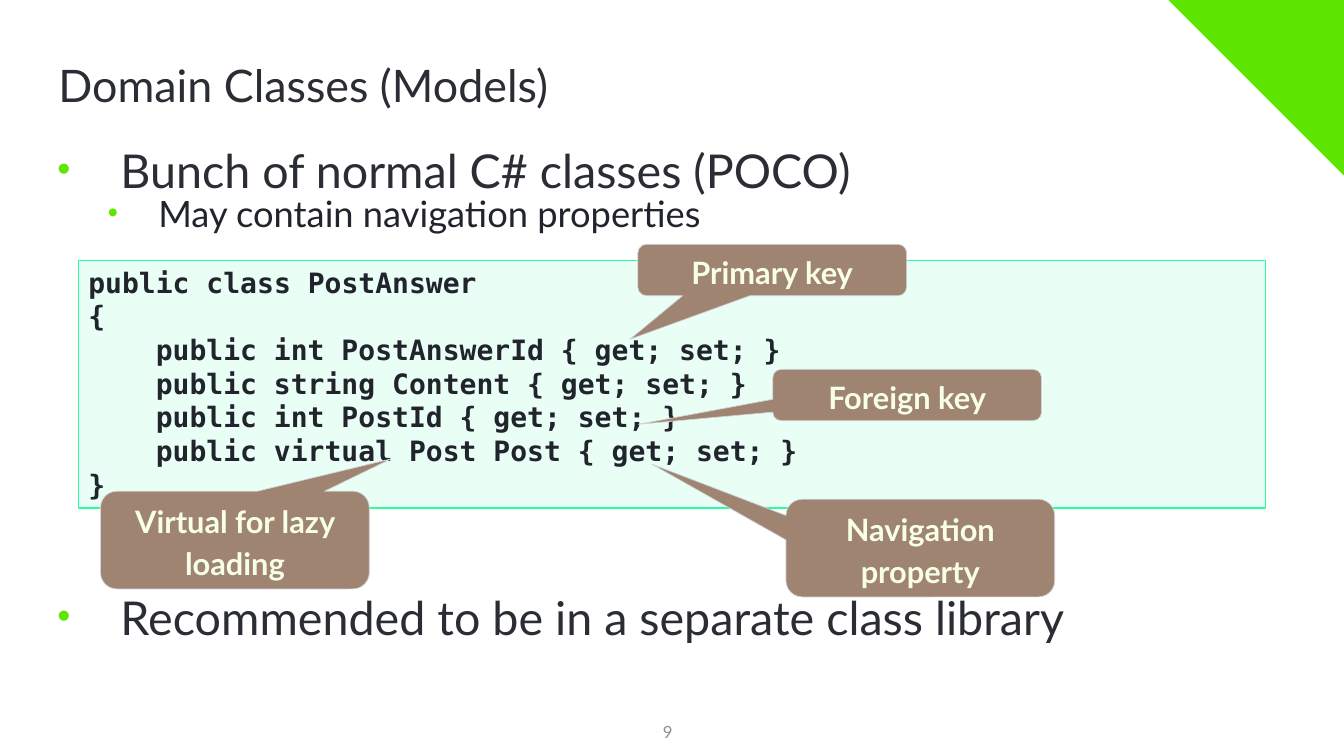
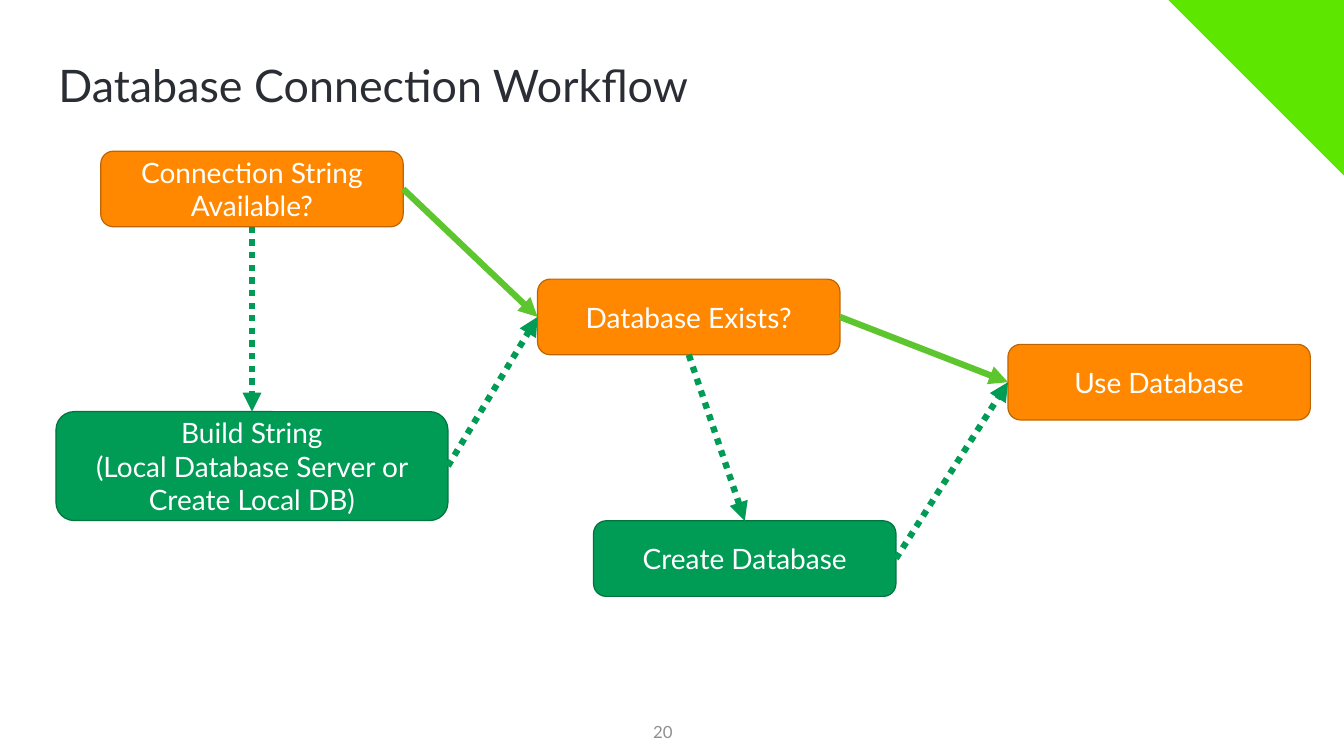
from lxml import etree
from pptx import Presentation
from pptx.dml.color import RGBColor
from pptx.enum.dml import MSO_LINE
from pptx.enum.shapes import MSO_CONNECTOR, MSO_SHAPE
from pptx.enum.text import MSO_ANCHOR, PP_ALIGN
from pptx.oxml.ns import qn
from pptx.util import Pt

RECT = MSO_SHAPE.RECTANGLE
ROUND = MSO_SHAPE.ROUNDED_RECTANGLE
CALLOUT = MSO_SHAPE.ROUNDED_RECTANGULAR_CALLOUT
STRAIGHT = MSO_CONNECTOR.STRAIGHT
DOTS = MSO_LINE.ROUND_DOT
TOP, MIDDLE = MSO_ANCHOR.TOP, MSO_ANCHOR.MIDDLE
LEFT, CENTER, RIGHT = PP_ALIGN.LEFT, PP_ALIGN.CENTER, PP_ALIGN.RIGHT

WIDE, HIGH = 960, 540
SANS, MONO = "Lato", "DejaVu Sans Mono"
LIME, INK, DARK, GREY = "5CE600", "2A2D33", "21242C", "8E8F90"
WHITE, CREAM, BROWN, SILVER = "FFFFFF", "F7FFE7", "9F8471", "D1D4D9"
MINT, EDGE = "71FFBF", "2AFF9F"
ORANGE, GREEN, LEAF = ("FF8800", "BD6500"), ("009B55", "00733F"), "5DC62E"
# Connection sites of a rounded rectangle
NORTH, WEST, SOUTH, EAST = range(4)


def rgb(code):
    return RGBColor.from_string(code)


def child(parent, tag, **attrs):
    return etree.SubElement(parent, qn(tag), attrs)


def write(shape, text, size, color, font=SANS, bold=False, align=LEFT,
          anchor=TOP, space=None):
    frame = shape.text_frame
    frame.text = text
    frame.word_wrap = True
    frame.vertical_anchor = anchor
    for para in frame.paragraphs:
        para.alignment = align
        if space:
            para.line_spacing = space
        for run in para.runs:
            run.font.size = Pt(size)
            run.font.name = font
            run.font.bold = bold
            run.font.color.rgb = rgb(color)
    return frame


def label(slide, box, *args, **style):
    shape = slide.shapes.add_textbox(*map(Pt, box))
    return write(shape, *args, **style)


def panel(slide, kind, box, fill, line, width):
    shape = slide.shapes.add_shape(kind, *map(Pt, box))
    shape.shadow.inherit = False
    shape.fill.solid()
    shape.fill.fore_color.rgb = rgb(fill)
    shape.line.color.rgb = rgb(line)
    shape.line.width = Pt(width)
    return shape


def base(deck, title, number):
    slide = deck.slides.add_slide(deck.slide_layouts[6])
    # Corner
    side = 125.5
    draw = slide.shapes.build_freeform(Pt(WIDE - side), 0)
    draw.add_line_segments([(Pt(WIDE), 0), (Pt(WIDE), Pt(side))])
    corner = draw.convert_to_shape()
    corner.shadow.inherit = False
    corner.fill.solid()
    corner.fill.fore_color.rgb = rgb(LIME)
    corner.line.fill.background()
    # Page number and title
    label(slide, (440, 513.4, 47.5, 18), number, 12, GREY,
          align=RIGHT, anchor=MIDDLE)
    label(slide, (34.6, 41, 892.8, 43.2), title, 32, INK,
          anchor=MIDDLE, space=0.9)
    return slide


def bullets(slide, box, items):
    frame = label(slide, box, "\n".join(text for text, _ in items), 33.3, INK,
                  space=0.7)
    for para, (_, level) in zip(frame.paragraphs, items):
        indent, hang, before = ((45, 45, 10), (72, 36, 5))[level]
        para.level = level
        para.space_before = Pt(before)
        if level:
            para.runs[0].font.size = Pt(25.9)
            para.runs[0].font.color.rgb = rgb(DARK)
        props = para._p.get_or_add_pPr()
        props.set("marL", str(Pt(indent)))
        props.set("indent", str(-Pt(hang)))
        child(child(props, "a:buClr"), "a:srgbClr", val=LIME)
        child(props, "a:buSzPct", val="80000")
        child(props, "a:buFont", typeface="Arial")
        child(props, "a:buChar", char="•")


def callout(slide, box, text, tip):
    shape = panel(slide, CALLOUT, box, BROWN, SILVER, 0.5)
    for spot, value in enumerate(tip):
        shape.adjustments[spot] = value
    frame = write(shape, text, 22, CREAM, bold=True, align=CENTER,
                  space=Pt(30))
    frame.margin_top = frame.margin_bottom = Pt(1.44)


def code(slide, box):
    left, top, _, _ = box
    fields = ["int PostAnswerId", "string Content", "int PostId",
              "virtual Post Post"]
    body = [f"public {field} {{ get; set; }}" for field in fields]
    lines = ["public class PostAnswer", "{", *body, "}"]

    # Code listing
    shape = panel(slide, RECT, box, MINT, EDGE, 1)
    tint = shape.fill._xPr.find(qn("a:solidFill"))[0]
    child(tint, "a:alpha", val="15000")
    frame = write(shape, "\n".join(lines), 20, DARK, MONO, True)
    for para in frame.paragraphs[2:-1]:
        para._p.get_or_add_pPr().set("marL", str(Pt(48.2)))

    # Callouts: offset from the listing, height, tip of the pointer
    low, tall = 36.7, 69.8
    for x, y, high, text, tip in (
        (505.4, 170.6, tall, "Navigation property", (-1, -0.86)),
        (496, 77.8, low, "Foreign key", (-1, 0.57)),
        (399.6, -11.5, low, "Primary key", (-0.53, 1.35)),
        (15.8, 164.9, tall, "Virtual for lazy loading", (0.58, -0.83)),
    ):
        callout(slide, (left + x, top + y, 192, high), text, tip)


def arrow(slide, start, out, end, into, color, dotted):
    link = slide.shapes.add_connector(STRAIGHT, 0, 0, 0, 0)
    link.begin_connect(start, out)
    link.end_connect(end, into)
    link.line.color.rgb = rgb(color)
    link.line.width = Pt(4.5)
    if dotted:
        link.line.dash_style = DOTS
    child(link.line._get_or_add_ln(), "a:tailEnd", type="triangle")
    child(link._element.spPr, "a:effectLst")


def flow(slide, box):
    left, top, _, _ = box

    def node(x, y, text, tone, wide=216, high=54):
        shape = panel(slide, ROUND, (left + x, top + y, wide, high),
                      *tone, 0.85)
        write(shape, text, 20, WHITE, align=CENTER, anchor=MIDDLE)
        return shape

    # Steps
    ask = node(32, 0, "Connection String Available?", ORANGE)
    build = node(0, 186, "Build String\n(Local Database Server or Create Local DB)",
                 GREEN, 280, 77.8)
    found = node(344, 91.4, "Database Exists?", ORANGE)
    make = node(384, 264, "Create Database", GREEN)
    use = node(680, 138, "Use Database", ORANGE)

    # Arrows: dotted for the detour, solid for the direct way
    for start, out, end, into in (
        (ask, SOUTH, build, NORTH), (build, EAST, found, WEST),
        (found, SOUTH, make, NORTH), (make, EAST, use, WEST),
    ):
        arrow(slide, start, out, end, into, GREEN[0], True)
    for start, end in ((ask, found), (found, use)):
        arrow(slide, start, EAST, end, WEST, LEAF, False)


def main():
    deck = Presentation()
    deck.slide_width, deck.slide_height = Pt(WIDE), Pt(HIGH)

    slide = base(deck, "Domain Classes (Models)", "9")
    bullets(slide, (34, 108.7, 892.8, 72),
            [("Bunch of normal C# classes (POCO)", 0),
             ("May contain navigation properties", 1)])
    bullets(slide, (34, 428, 892.8, 50),
            [("Recommended to be in a separate class library", 0)])
    code(slide, (56, 186, 848, 177))

    slide = base(deck, "Database Connection Workflow", "20")
    flow(slide, (40, 108, 896, 318))

    deck.save("out.pptx")


if __name__ == "__main__":
    main()
